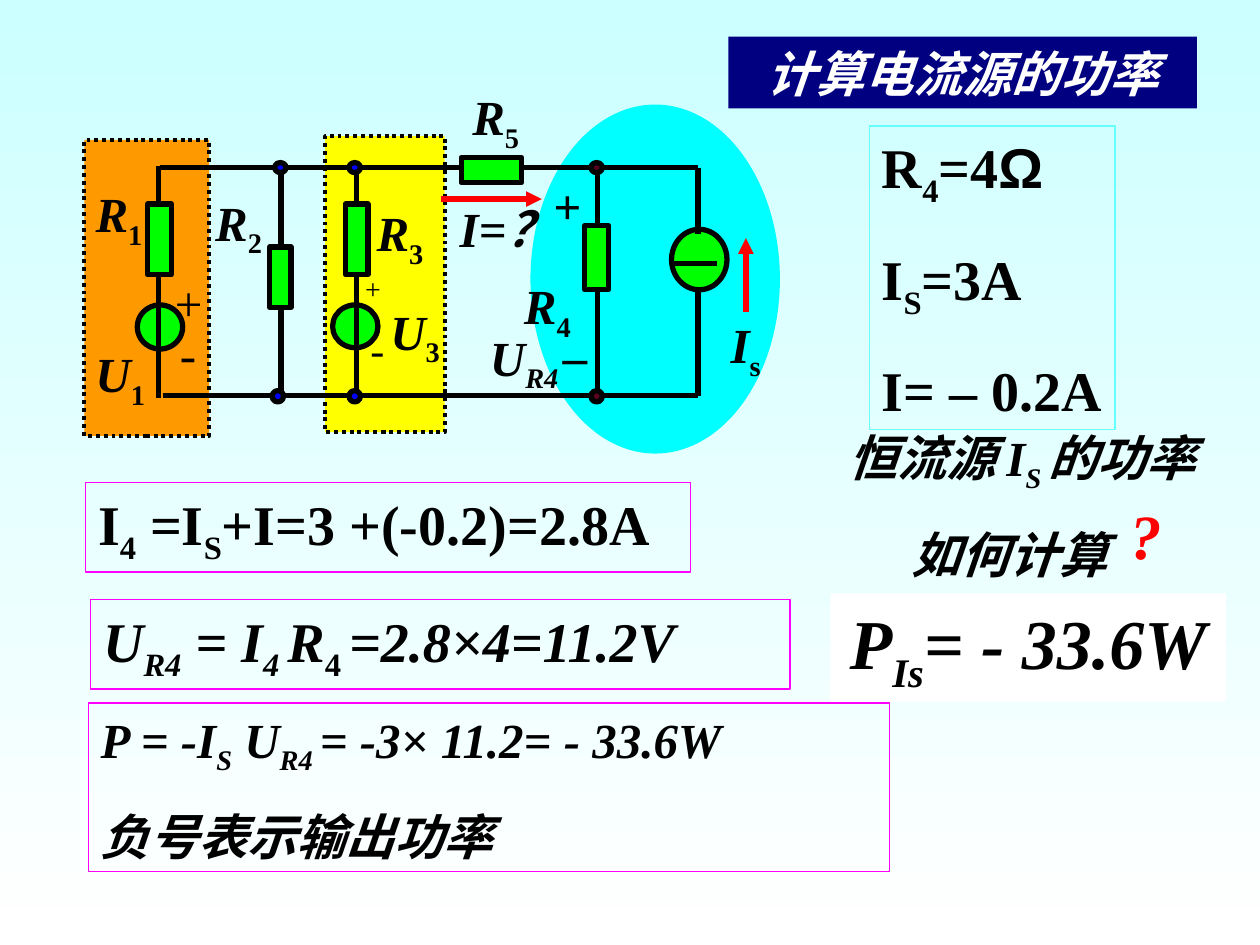
from dataclasses import dataclass
from typing import NamedTuple, Optional

from lxml import etree
from pptx import Presentation
from pptx import util as u
from pptx.dml.color import RGBColor
from pptx.enum import dml, shapes, text
from pptx.oxml import ns

BLACK, GREEN, RED, BLUE, MAROON = "000000", "00FF00", "FF0000", "0000FF", "590322"
MAGENTA, WHITE = "FF00FF", "FFFFFF"
RECTANGLE, OVAL = shapes.MSO_SHAPE.RECTANGLE, shapes.MSO_SHAPE.OVAL
LEFT, CENTER = text.PP_ALIGN.LEFT, text.PP_ALIGN.CENTER
TOP, MIDDLE = text.MSO_ANCHOR.TOP, text.MSO_ANCHOR.MIDDLE


class Box(NamedTuple):
    left: float
    top: float
    width: float
    height: float


class Wire(NamedTuple):
    x1: float
    y1: float
    x2: float
    y2: float


class Run(NamedTuple):
    text: str
    lowered: bool = False
    upright: bool = False
    font: Optional[str] = None


@dataclass
class Writing:
    box: Box
    paragraphs: list
    size: float = 28
    bold: bool = True
    italic: bool = True
    align: int = LEFT
    anchor: int = MIDDLE
    color: str = BLACK
    wrap: bool = True
    fill: Optional[str] = None
    line: Optional[str] = None
    framed: bool = False


def sub(words, upright=False):
    return Run(words, lowered=True, upright=upright)


def color_of(hex_string):
    return RGBColor.from_string(hex_string)


def inches(numbers):
    return [u.Inches(number) for number in numbers]


def add_shape(slide, kind, box: Box, fill=None, line=None, width=3.0, dotted=False):
    shape = slide.shapes.add_shape(kind, *inches(box))
    shape.shadow.inherit = False
    if fill:
        shape.fill.solid()
        shape.fill.fore_color.rgb = color_of(fill)
    else:
        shape.fill.background()
    if line:
        shape.line.color.rgb = color_of(line)
        shape.line.width = u.Pt(width)
        if dotted:
            shape.line.dash_style = dml.MSO_LINE.ROUND_DOT
    else:
        shape.line.fill.background()
    return shape


def add_wire(slide, wire: Wire, color=BLACK, arrow=False):
    connector = slide.shapes.add_connector(shapes.MSO_CONNECTOR.STRAIGHT, *inches(wire))
    connector.line.color.rgb = color_of(color)
    connector.line.width = u.Pt(3)
    if arrow:
        line = connector.line._get_or_add_ln()
        etree.SubElement(line, ns.qn("a:tailEnd"), type="triangle")
    etree.SubElement(connector._element.spPr, ns.qn("a:effectLst"))
    return connector


def add_writing(slide, writing: Writing):
    if writing.framed:
        shape = add_shape(slide, RECTANGLE, writing.box, writing.fill, writing.line, 0.75)
    else:
        shape = slide.shapes.add_textbox(*inches(writing.box))
    frame = shape.text_frame
    frame.word_wrap = writing.wrap
    frame.auto_size = text.MSO_AUTO_SIZE.SHAPE_TO_FIT_TEXT
    frame.vertical_anchor = writing.anchor
    for index, runs in enumerate(writing.paragraphs):
        paragraph = frame.add_paragraph() if index else frame.paragraphs[0]
        paragraph.alignment = writing.align
        if index:
            paragraph.space_before = u.Pt(writing.size * 0.625)
        font = paragraph.font
        font.name, font.size = "Times New Roman", u.Pt(writing.size)
        font.bold, font.italic = writing.bold, writing.italic
        font.color.rgb = color_of(writing.color)
        for part in runs:
            part = Run(part) if isinstance(part, str) else part
            run = paragraph.add_run()
            run.text = part.text
            # Runs repeat the size and style so that every renderer applies them.
            run.font.name = part.font or font.name
            run.font.size, run.font.bold = font.size, writing.bold
            run.font.italic = writing.italic and not part.upright
            run.font.color.rgb = color_of(writing.color)
            if part.lowered:
                run.font._element.set("baseline", "-25000")
    return shape


def add_label(slide, box: Box, *runs, **style):
    style = {"anchor": TOP, "wrap": False, **style}
    return add_writing(slide, Writing(box, [runs], **style))


def add_circuit(slide):
    add_shape(slide, OVAL, Box(4.21, 0.83, 1.98, 2.77), "00FFFF")
    add_shape(slide, RECTANGLE, Box(2.58, 1.08, 0.95, 2.35), "FFFF00", BLACK, 2.25, True)
    add_shape(slide, RECTANGLE, Box(0.67, 1.11, 0.99, 2.35), "FF9900", BLACK, 2.25, True)

    top, bottom = 1.33, 3.14
    rail_stops = [(1.27, 2.74), (2.74, 3.44), (3.34, 4.55), (4.54, 5.54)]
    for start, end in rail_stops:
        add_wire(slide, Wire(start, top, end, top))
    for start, end in [(1.29, 2.74), (2.74, 5.54)]:
        add_wire(slide, Wire(start, bottom, end, bottom))
    for x in (2.23, 4.74):
        add_wire(slide, Wire(x, top, x, bottom))

    for source in [Box(1.09, 2.42, 0.36, 0.35), Box(2.64, 2.42, 0.36, 0.34),
                   Box(5.33, 1.82, 0.44, 0.48)]:
        add_shape(slide, OVAL, source, GREEN, BLACK)
    for wire in [Wire(1.26, 1.32, 1.26, 3.16), Wire(5.54, top, 5.54, 1.86),
                 Wire(5.54, 2.3, 5.54, bottom), Wire(5.35, 2.09, 5.69, 2.09)]:
        add_wire(slide, wire)

    r1, r2, r3, r4, r5 = [
        add_shape(slide, RECTANGLE, box, GREEN, BLACK)
        for box in [Box(1.17, 1.62, 0.19, 0.56), Box(2.14, 1.96, 0.17, 0.48),
                    Box(2.74, 1.62, 0.18, 0.56), Box(4.64, 1.79, 0.19, 0.51),
                    Box(3.66, 1.25, 0.48, 0.2)]]
    add_wire(slide, Wire(2.83, 1.31, 2.83, 1.62)).end_connect(r3, 0)
    add_wire(slide, Wire(2.83, 2.18, 2.83, bottom)).begin_connect(r3, 2)

    for x, color in [(2.18, BLUE), (2.77, BLUE), (4.69, MAROON)]:
        add_shape(slide, OVAL, Box(x, 1.29, 0.09, 0.08), color, BLACK)
    for x, color in [(2.16, BLUE), (2.77, BLUE), (4.69, MAROON)]:
        add_shape(slide, OVAL, Box(x, 3.1, 0.09, 0.09), color, BLACK)
    for arrow in [Wire(5.92, 2.48, 5.92, 1.89), Wire(3.5, 1.58, 4.3, 1.58)]:
        add_wire(slide, arrow, RED, arrow=True)


def add_circuit_labels(slide):
    for letter, index, left, top, width in [
            ("R", "1", 0.66, 1.41, 0.57), ("U", "1", 0.66, 2.68, 0.6),
            ("R", "2", 1.61, 1.48, 0.57), ("R", "3", 2.89, 1.56, 0.57),
            ("U", "3", 3, 2.34, 0.59), ("R", "4", 4.06, 2.14, 0.57),
            ("R", "5", 3.65, 0.64, 0.57), ("I", "s", 5.7, 2.45, 0.44)]:
        add_label(slide, Box(left, top, width, 0.63), letter, sub(index, upright=True))
    add_label(slide, Box(3.55, 1.53, 1.05, 0.57), "I=？")
    for sign, size, box in [("+", 28, Box(1.29, 2.11, 0.42, 0.57)),
                            ("-", 28, Box(1.33, 2.52, 0.33, 0.57)),
                            ("+", 16, Box(2.8, 2.11, 0.33, 0.37)),
                            ("-", 24, Box(2.84, 2.52, 0.31, 0.5))]:
        add_label(slide, box, sign, size=size, bold=False, italic=False)
    centered = {"align": CENTER, "anchor": MIDDLE}
    add_label(slide, Box(3.79, 2.55, 0.74, 0.63), "U", sub("R4"), **centered)
    add_label(slide, Box(4.29, 1.34, 0.42, 0.57), "+", **centered)
    add_label(slide, Box(4.37, 2.53, 0.39, 0.57), "–", **centered)


def add_calculation(slide):
    for writing in [
        Writing(Box(5.78, 0.29, 3.72, 0.57), [["计算电流源的功率"]], align=CENTER,
                color=WHITE, fill="000080", framed=True),
        Writing(Box(0.68, 3.83, 4.8, 0.71),
                [["I", sub("4"), " =I", sub("S"), "+I=3 +(-0.2)=2.8A"]],
                32, italic=False, line=MAGENTA, framed=True),
        Writing(Box(0.72, 4.76, 5.55, 0.71),
                [["U", sub("R4"), " = I", sub("4 "), "R", sub("4 ", upright=True),
                  "=2.8×4=11.2V"]], 32, line=MAGENTA, framed=True),
        Writing(Box(0.7, 5.58, 6.36, 1.34),
                [["P = -I", sub("S"), " U", sub("R4 "), "= -3× 11.2= - 33.6W"],
                 ["负号表示输出功率"]], line=MAGENTA, framed=True),
        Writing(Box(6.9, 1, 1.95, 2.41),
                [["R", sub("4"), "=4", Run("Ω", font="Arial")],
                 ["I", sub("S"), "=3A"], ["I= – 0.2A"]],
                32, italic=False, wrap=False, line="66FFFF", framed=True),
        Writing(Box(8.87, 3.89, 0.45, 0.7), [["?"]], 36, align=CENTER, color=RED,
                wrap=False),
        Writing(Box(6.59, 4.71, 3.14, 0.86), [["P", sub("Is"), "= - 33.6W"]], 40,
                align=CENTER, fill=WHITE, framed=True),
    ]:
        add_writing(slide, writing)
    question = add_writing(slide, Writing(
        Box(6.54, 3.34, 3.14, 1.34),
        [["恒流源 I", sub("S "), "的功率"], ["如何计算"]], align=CENTER, wrap=False))
    last_line = question.text_frame.paragraphs[-1]
    last_line._p.get_or_add_pPr().set("marR", str(u.Inches(0.2)))


def main():
    presentation = Presentation()
    presentation.slide_width, presentation.slide_height = inches((10, 7.5))
    slide = presentation.slides.add_slide(presentation.slide_layouts[6])
    background = slide.background.fill
    background.gradient()
    background.gradient_angle = 270
    for stop, color in zip(background.gradient_stops, ("CCFFFF", WHITE)):
        stop.color.rgb = color_of(color)
    add_circuit(slide)
    add_circuit_labels(slide)
    add_calculation(slide)
    presentation.save("out.pptx")


if __name__ == "__main__":
    main()
